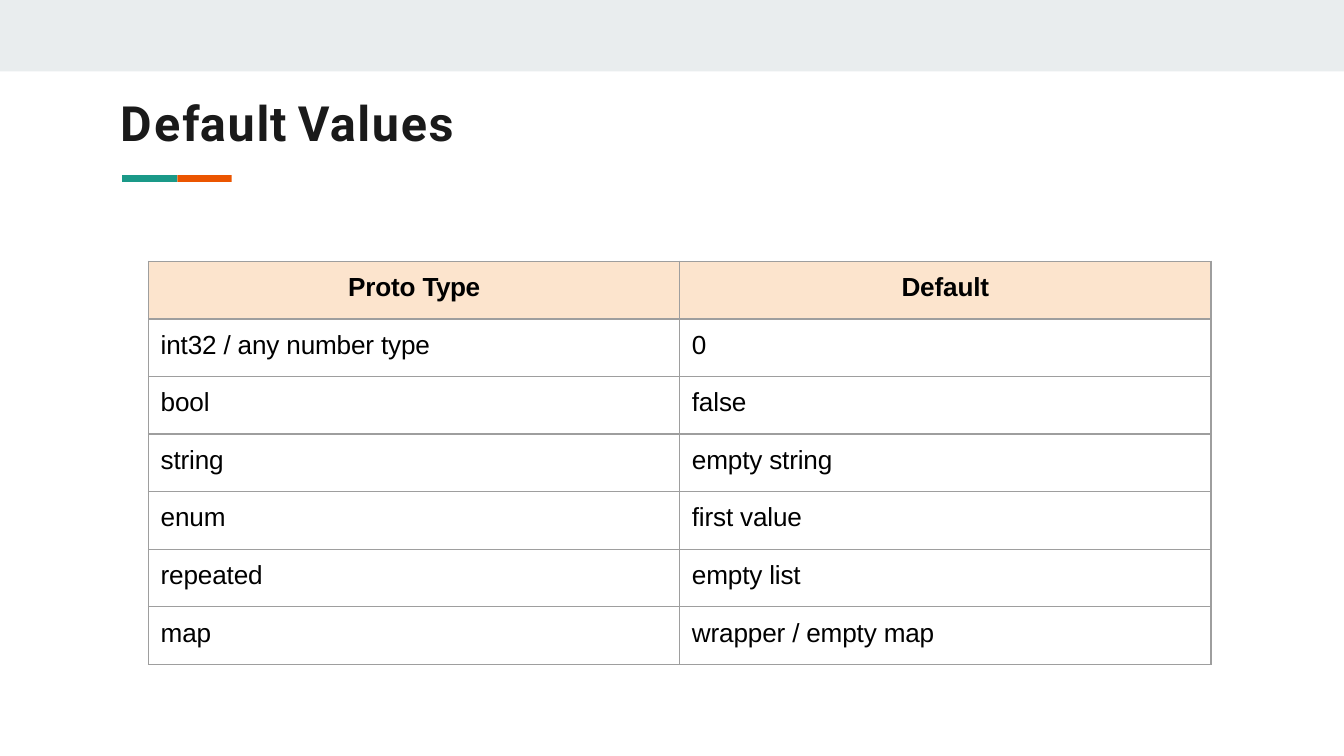
from typing import NamedTuple

from lxml import etree
from pptx import Presentation
from pptx.dml.color import RGBColor
from pptx.enum.shapes import MSO_SHAPE
from pptx.enum.text import PP_ALIGN
from pptx.oxml.ns import qn
from pptx.util import Pt

RECTANGLE = MSO_SHAPE.RECTANGLE
CENTER, LEFT = PP_ALIGN.CENTER, PP_ALIGN.LEFT

COLORS = {
    "band": "E9EDEE",
    "teal": "1A9988",
    "orange": "EB5500",
    "title": "1A1A1A",
    "text": "000000",
    "header": "FCE4CD",
    "border": "9E9E9E",
}


class Bar(NamedTuple):
    left: float
    top: float
    width: float
    height: float
    color: str


class TextRun(NamedTuple):
    text: str
    spacing: float = -0.1


class TextStyle(NamedTuple):
    font: str
    size: float
    color: str
    bold: bool = False


BARS = [
    Bar(0, 0, 720, 38.3, "band"),
    Bar(95, 93.8, 29.2, 3.7, "orange"),
    Bar(65.4, 93.8, 29.6, 3.7, "teal"),
]
TITLE = [
    TextRun("D", 1.3), TextRun("e", 1.1), TextRun("f"), TextRun("au", 0.9),
    TextRun("l", 0.3), TextRun("t ", -0.3), TextRun("V"), TextRun("alues", 0.9),
]
HEADER = [[TextRun("Proto "), TextRun("Type", -0.3)], [TextRun("Default")]]
DEFAULTS = [
    ("int32 / any number type", "0"),
    ("bool", "false"),
    ("string", "empty string"),
    ("enum", "first value"),
    ("repeated", "empty list"),
    ("map", "wrapper / empty map"),
]
TITLE_STYLE = TextStyle("Roboto", 26, "title", True)
HEADER_STYLE = TextStyle("Arial", 14, "text", True)
BODY_STYLE = TextStyle("Arial", 14, "text")
COLUMN_WIDTH, ROW_HEIGHT = 284.6, 30.86


def rgb(name: str) -> RGBColor:
    return RGBColor.from_string(COLORS[name])


def add_bar(s, bar: Bar) -> None:
    sp = s.shapes.add_shape(RECTANGLE, Pt(bar.left), Pt(bar.top),
                            Pt(bar.width), Pt(bar.height))
    sp.shadow.inherit = False
    sp.fill.solid()
    sp.fill.fore_color.rgb = rgb(bar.color)
    sp.line.fill.background()


def add_runs(p, runs: list[TextRun], style: TextStyle) -> None:
    for run in runs:
        r = p.add_run()
        r.text = run.text
        r.font.name = style.font
        r.font.size = Pt(style.size)
        r.font.bold = style.bold
        r.font.color.rgb = rgb(style.color)
        r.font._element.set("spc", str(round(run.spacing * 100)))


def add_title(s) -> None:
    sp = s.shapes.add_textbox(Pt(63.4), Pt(49), Pt(184), Pt(33))
    tf = sp.text_frame
    tf.word_wrap = True
    tf.margin_left = Pt(0.9)
    tf.margin_top = Pt(1)
    tf.margin_right = tf.margin_bottom = 0
    add_runs(tf.paragraphs[0], TITLE, TITLE_STYLE)


def set_borders(cell) -> None:
    """Draw all four cell edges; must run before the cell gets its fill."""
    properties = cell._tc.get_or_add_tcPr()
    for edge in ("a:lnL", "a:lnR", "a:lnT", "a:lnB"):
        line = etree.SubElement(properties, qn(edge), w=str(Pt(0.75)))
        fill = etree.SubElement(line, qn("a:solidFill"))
        etree.SubElement(fill, qn("a:srgbClr"), val=COLORS["border"])


def fill_cell(cell, runs: list[TextRun], is_header: bool) -> None:
    set_borders(cell)
    cell.margin_left = 0 if is_header else Pt(6.6)
    cell.margin_top = Pt(6.2)
    cell.margin_right = cell.margin_bottom = 0
    if is_header:
        cell.fill.solid()
        cell.fill.fore_color.rgb = rgb("header")
    else:
        cell.fill.background()
    p = cell.text_frame.paragraphs[0]
    p.alignment = CENTER if is_header else LEFT
    add_runs(p, runs, HEADER_STYLE if is_header else BODY_STYLE)


def add_defaults_table(s) -> None:
    rows = [HEADER] + [[[TextRun(text)] for text in row] for row in DEFAULTS]
    table = s.shapes.add_table(len(rows), 2, Pt(79.5), Pt(140),
                               Pt(2 * COLUMN_WIDTH),
                               Pt(len(rows) * ROW_HEIGHT)).table
    table.horz_banding = False
    table.first_row = False
    for column in table.columns:
        column.width = Pt(COLUMN_WIDTH)
    for i, row in enumerate(rows):
        table.rows[i].height = Pt(ROW_HEIGHT)
        for j, runs in enumerate(row):
            fill_cell(table.cell(i, j), runs, i == 0)


def main() -> None:
    prs = Presentation()
    prs.slide_width, prs.slide_height = Pt(720), Pt(405)
    s = prs.slides.add_slide(prs.slide_layouts[6])
    for bar in BARS:
        add_bar(s, bar)
    add_title(s)
    add_defaults_table(s)
    prs.save("out.pptx")


if __name__ == "__main__":
    main()
